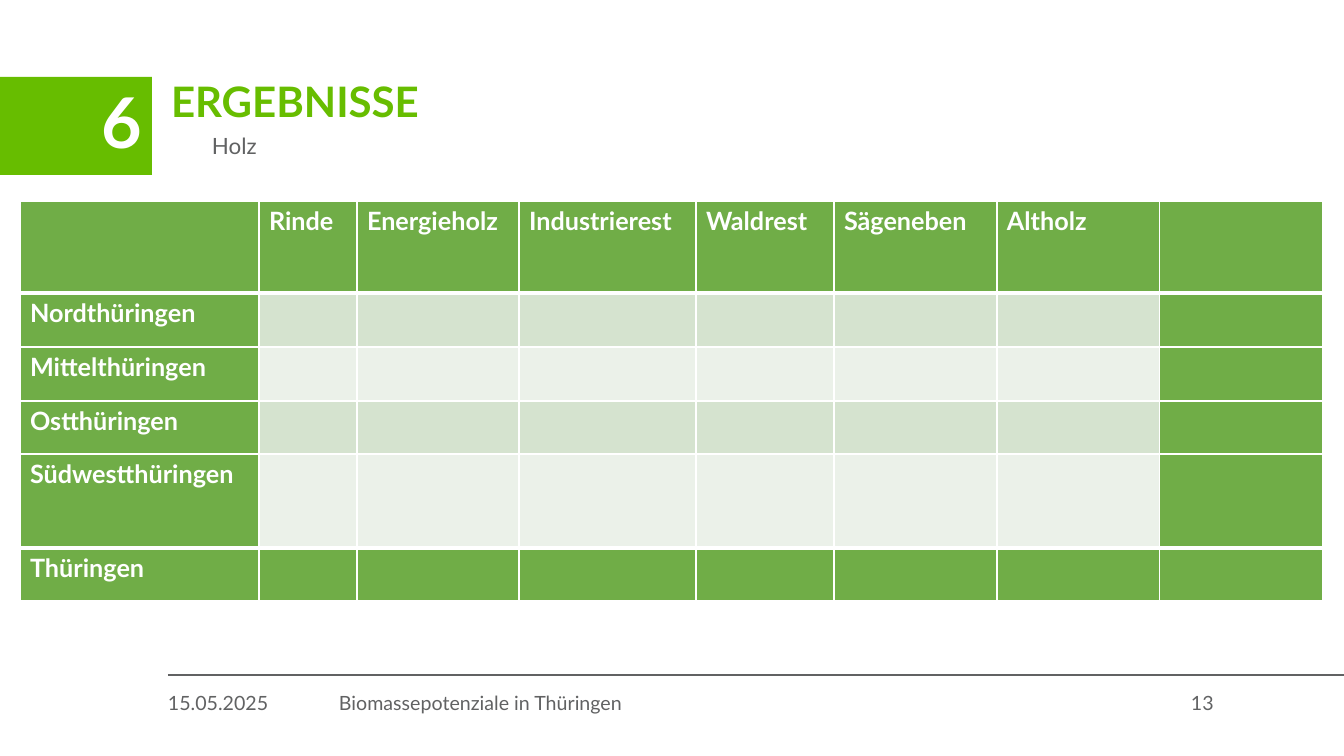
import pptx
import pptx.util
import pptx.dml.color
import pptx.enum.shapes
import pptx.enum.text
import pptx.oxml.ns
from lxml import etree

SCALE = 914400 / 100.8  # EMU per px
THEME = {
    "font": "Lato",
    "accent": "67BD00", "grey": "616263", "white": "FFFFFF",
    "table": "70AD47", "bands": ["D5E3CF", "EBF1E9"],
    "number": 50, "title": 30, "subtitle": 16, "footer": 14, "cell": 18,
}
ALIGN = pptx.enum.text.PP_ALIGN
ANCHOR = pptx.enum.text.MSO_ANCHOR


def px(*lengths):
    return [pptx.util.Emu(round(length * SCALE)) for length in lengths]


def write(frame, text, size, color, bold=False, spacing=1.0, align=ALIGN.LEFT):
    paragraph = frame.paragraphs[0]
    paragraph.alignment = align
    paragraph.line_spacing = spacing
    paragraph.space_before = pptx.util.Pt(0)
    run = paragraph.add_run()
    run.text = text
    run.font.name = THEME["font"]
    run.font.size = pptx.util.Pt(THEME[size])
    run.font.bold = bold
    run.font.color.rgb = pptx.dml.color.RGBColor.from_string(THEME[color])


presentation = pptx.Presentation()
presentation.slide_width, presentation.slide_height = px(1344, 756)
slide = presentation.slides.add_slide(presentation.slide_layouts[5])
shapes = slide.shapes

# Footer rule
rule = shapes.add_connector(pptx.enum.shapes.MSO_CONNECTOR.STRAIGHT, *px(168, 675, 1344, 675))
rule.line.color.rgb = pptx.dml.color.RGBColor.from_string(THEME["grey"])
rule.line.width = pptx.util.Pt(2)
etree.SubElement(rule._element.spPr, pptx.oxml.ns.qn("a:effectLst"))

# Chapter number
chapter = shapes.add_shape(pptx.enum.shapes.MSO_SHAPE.RECTANGLE, *px(0, 77, 152, 98))
chapter.shadow.inherit = False
chapter.fill.solid()
chapter.fill.fore_color.rgb = pptx.dml.color.RGBColor.from_string(THEME["accent"])
chapter.line.fill.background()
chapter.text_frame.vertical_anchor = ANCHOR.MIDDLE
write(chapter.text_frame, "6", "number", "white", True, 0.9, ALIGN.RIGHT)

# Title, subtitle and footer texts
title = shapes.title
title.left, title.top, title.width, title.height = px(171, 81, 1005, 53)
texts = [
    (title, "ERGEBNISSE", "title", "accent", True, 0.9),
    (shapes.add_textbox(*px(212, 135, 965, 41)), "Holz", "subtitle", "grey", False, 0.9),
]
for left, width, text in [(168, 154, "15.05.2025"),
                          (339, 454, "Biomassepotenziale in Thüringen"),
                          (1191, 115, "13")]:
    texts.append((shapes.add_textbox(*px(left, 691, width, 40)), text, "footer", "grey", False, 1.0))
for shape, *content in texts:
    frame = shape.text_frame
    frame.word_wrap = True
    frame.auto_size = pptx.enum.text.MSO_AUTO_SIZE.NONE
    frame.vertical_anchor = ANCHOR.TOP
    frame.margin_left = frame.margin_top = frame.margin_right = frame.margin_bottom = 0
    write(frame, *content)

# Table of wood types by region
headings = ["", "Rinde", "Energieholz", "Industrierest", "Waldrest", "Sägeneben", "Altholz", ""]
regions = ["", "Nordthüringen", "Mittelthüringen", "Ostthüringen", "Südwestthüringen", "Thüringen"]
column_widths = px(239, 98, 162, 177, 138, 163, 163, 163)
row_heights = px(92, 54, 54, 53, 94, 53)
last_row, last_column = len(regions) - 1, len(headings) - 1
table = shapes.add_table(len(regions), len(headings), *px(20, 201),
                         sum(column_widths), sum(row_heights)).table
for column, width in zip(table.columns, column_widths):
    column.width = width
for row, height in zip(table.rows, row_heights):
    row.height = height

for row_index, region in enumerate(regions):
    for column_index, heading in enumerate(headings):
        cell = table.cell(row_index, column_index)
        # White borders, thick below the header and above the total
        thick = {"lnT": row_index in (1, last_row), "lnB": row_index in (0, last_row - 1)}
        properties = cell._tc.get_or_add_tcPr()
        for side in ("lnL", "lnR", "lnT", "lnB"):
            border = etree.SubElement(properties, pptx.oxml.ns.qn("a:" + side),
                                      w=str(pptx.util.Pt(3 if thick.get(side) else 1)))
            fill = etree.SubElement(border, pptx.oxml.ns.qn("a:solidFill"))
            etree.SubElement(fill, pptx.oxml.ns.qn("a:srgbClr"), val=THEME["white"])
        # Green frame around banded rows
        edge = row_index in (0, last_row) or column_index in (0, last_column)
        color = THEME["table"] if edge else THEME["bands"][(row_index - 1) % 2]
        cell.fill.solid()
        cell.fill.fore_color.rgb = pptx.dml.color.RGBColor.from_string(color)
        text = heading if row_index == 0 else region if column_index == 0 else ""
        if text:
            write(cell.text_frame, text, "cell", "white", True)

presentation.save("out.pptx")
